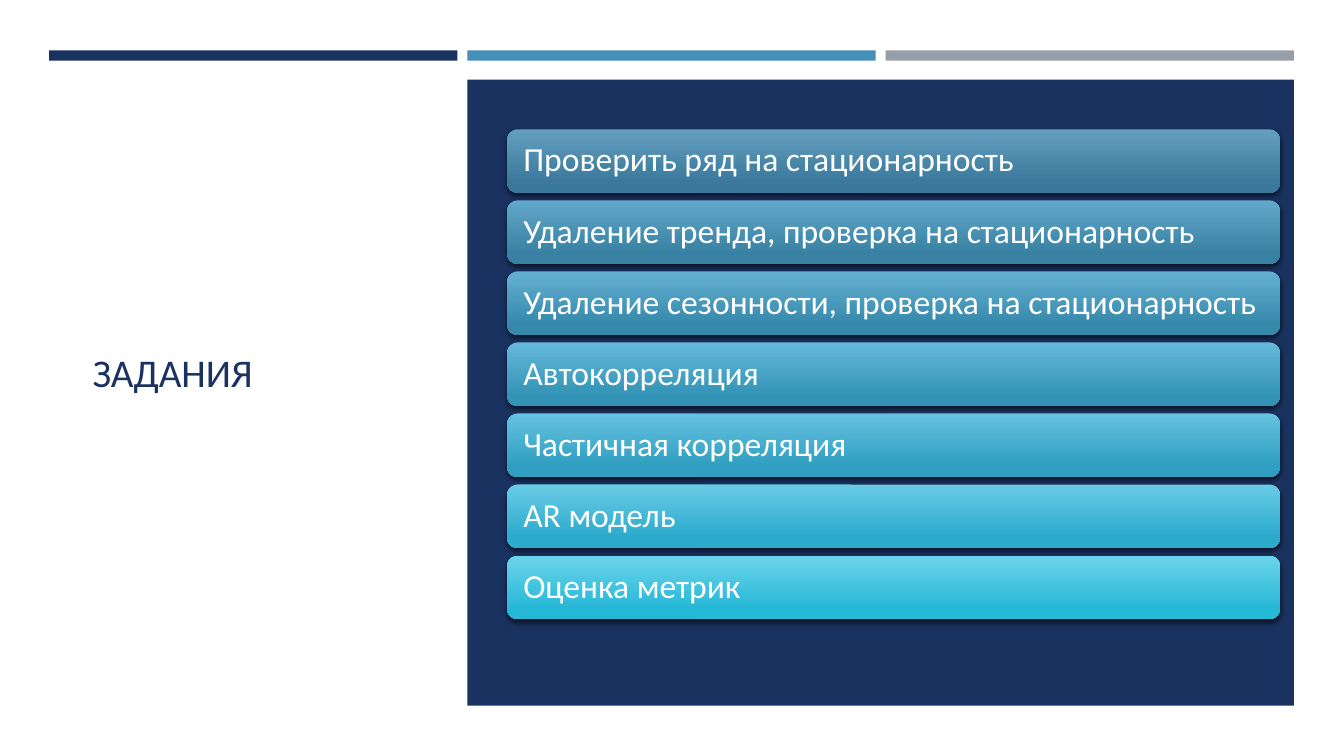
"""Build a slide with a title and a stack of seven task bars."""
from dataclasses import dataclass

from pptx import Presentation
from pptx.dml.color import RGBColor
from pptx.enum import shapes, text
from pptx.oxml import parse_xml
from pptx.oxml.ns import nsdecls
from pptx.util import Cm, Pt


@dataclass(frozen=True)
class Theme:
    """Colours, font and type sizes of the slide."""
    font: str = "Calibri"
    title_size: int = 28
    task_size: int = 24
    white: str = "FFFFFF"
    navy: str = "1A3260"
    blue: str = "4590B8"
    grey: str = "969FA7"
    gradients: tuple = (
        ("639FC1", "3A799B"), ("62A8CA", "3881A3"), ("63B0D2", "3789AB"),
        ("65B9D9", "3393B6"), ("66C2E0", "2F9EC0"), ("69CBE6", "2BAACC"),
        ("6BD4EC", "26B8D7"),
    )


THEME = Theme()
TASKS = (
    "Проверить ряд на стационарность",
    "Удаление тренда, проверка на стационарность",
    "Удаление сезонности, проверка на стационарность",
    "Автокорреляция",
    "Частичная корреляция",
    "AR модель",
    "Оценка метрик",
)


def rgb(value):
    """Turn a hex string into a colour."""
    return RGBColor.from_string(value)


def write(shape, wording, size, color):
    """Put one left-aligned, vertically centred paragraph into a shape."""
    frame = shape.text_frame
    frame.text = wording
    frame.word_wrap = True
    frame.auto_size = text.MSO_AUTO_SIZE.NONE
    frame.vertical_anchor = text.MSO_ANCHOR.MIDDLE
    paragraph = frame.paragraphs[0]
    paragraph.alignment = text.PP_ALIGN.LEFT
    paragraph.line_spacing = 0.9
    paragraph.font.name = THEME.font
    paragraph.font.size = Pt(size)
    paragraph.font.color.rgb = rgb(color)


def add_title(slide, wording):
    """Place the title placeholder in the left column."""
    title = slide.shapes.title
    title.left, title.top = Cm(2.08), Cm(2.9)
    title.width, title.height = Cm(8.48), Cm(13.08)
    write(title, wording, THEME.title_size, THEME.navy)


def add_block(slide, kind, left, top, width, height):
    """Add a preset shape without outline or shadow."""
    shape = slide.shapes.add_shape(kind, Cm(left), Cm(top), Cm(width), Cm(height))
    shape.shadow.inherit = False
    shape.line.fill.background()
    return shape


def add_rectangle(slide, color, *box):
    """Add a plain rectangle in one colour."""
    shape = add_block(slide, shapes.MSO_SHAPE.RECTANGLE, *box)
    shape.fill.solid()
    shape.fill.fore_color.rgb = rgb(color)


def add_shadow(shape):
    """Give a shape a soft shadow below."""
    effects = shape._element.spPr.find("{*}effectLst")
    effects.append(parse_xml(
        f'<a:outerShdw {nsdecls("a")} blurRad="{Pt(3)}" dist="{Pt(2)}" '
        'dir="5400000" rotWithShape="0"><a:srgbClr val="000000">'
        '<a:alpha val="55000"/></a:srgbClr></a:outerShdw>'))


def add_task(slide, wording, gradient, top):
    """Add one rounded task bar with a vertical gradient."""
    bar = add_block(slide, shapes.MSO_SHAPE.ROUNDED_RECTANGLE, 12.78, top, 19.48, 1.6)
    bar.fill.gradient()
    bar.fill.gradient_angle = 270
    for stop, color, position in zip(bar.fill.gradient_stops, gradient, (0, 0.84)):
        stop.color.rgb = rgb(color)
        stop.position = position
    add_shadow(bar)
    write(bar, wording, THEME.task_size, THEME.white)
    bar.text_frame.margin_left = bar.text_frame.margin_right = Cm(0.33)


def main():
    """Build and save the presentation."""
    presentation = Presentation()
    presentation.slide_width, presentation.slide_height = Cm(33.87), Cm(19.05)
    slide = presentation.slides.add_slide(presentation.slide_layouts.get_by_name("Title Only"))
    slide.background.fill.solid()
    slide.background.fill.fore_color.rgb = rgb(THEME.white)
    add_title(slide, "ЗАДАНИЯ")
    for index, color in enumerate((THEME.navy, THEME.blue, THEME.grey)):
        add_rectangle(slide, color, 1.24 + 10.54 * index, 1.27, 10.29, 0.26)
    add_rectangle(slide, THEME.navy, 11.78, 2.01, 20.83, 15.77)
    for index, (task, gradient) in enumerate(zip(TASKS, THEME.gradients)):
        add_task(slide, task, gradient, 3.26 + 1.79 * index)
    presentation.save("out.pptx")


if __name__ == "__main__":
    main()
